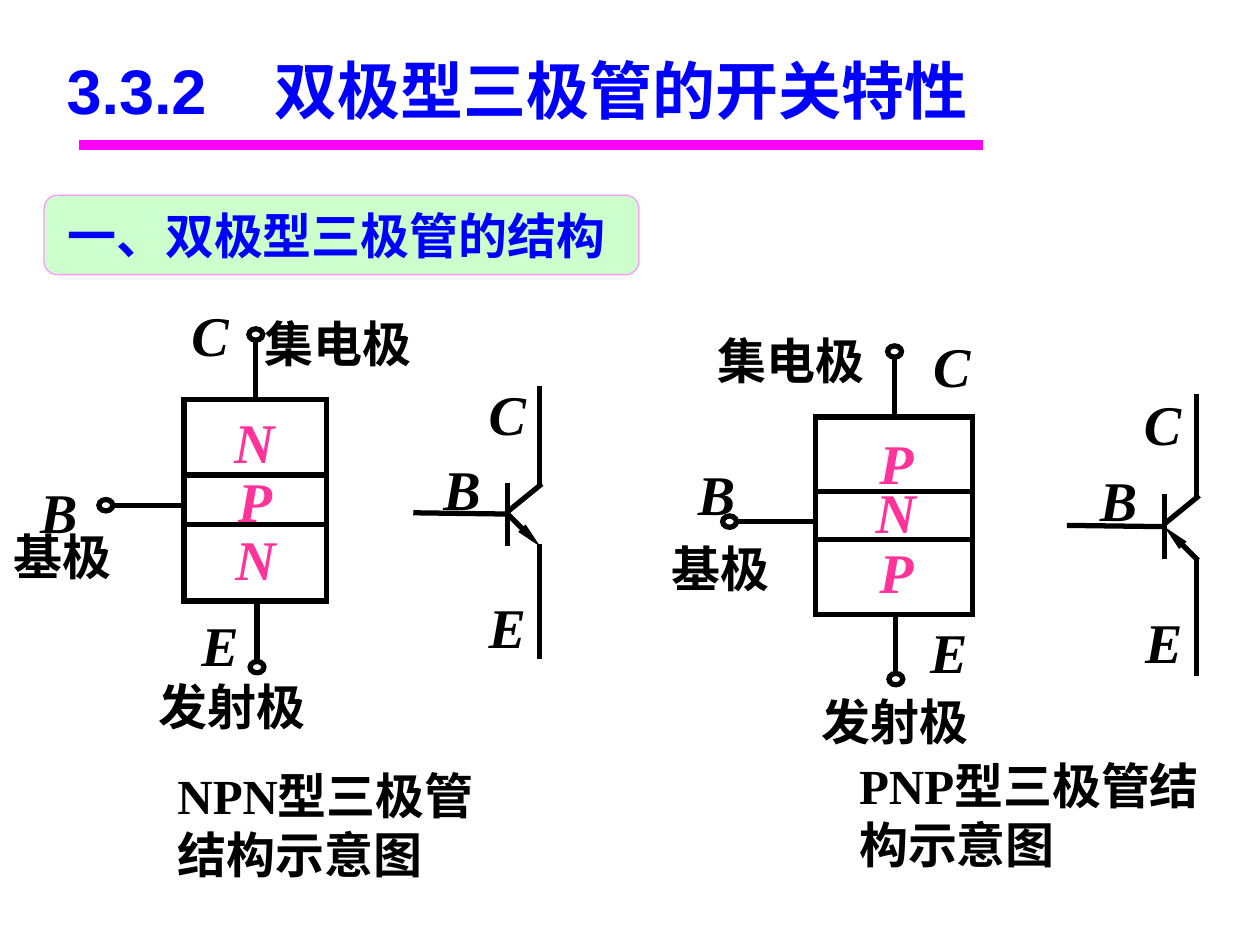
import pptx
import pptx.dml.color
import pptx.enum.shapes
import pptx.enum.text
import pptx.oxml
import pptx.util

SHAPES = pptx.enum.shapes.MSO_SHAPE
ALIGN = pptx.enum.text.PP_ALIGN
ANCHOR = pptx.enum.text.MSO_ANCHOR
colour = pptx.dml.color.RGBColor.from_string
BLACK, BLUE, PINK, SERIF = "000000", "0000FF", "FF3399", "Times New Roman"
XMLNS = 'xmlns:a="http://schemas.openxmlformats.org/drawingml/2006/main"'

deck = pptx.Presentation()
deck.slide_width = pptx.util.Inches(10)
deck.slide_height = pptx.util.Inches(7.5)
slide = deck.slides.add_slide(deck.slide_layouts[6])

# The slide is a grid of 100 columns by 75 rows.
COL = deck.slide_width / 100
ROW = deck.slide_height / 75


def wire(x1, y1, x2, y2, ink=BLACK, weight=3, arrow=False):
    """Draw a straight line between two grid points, with an arrow at its end if asked."""
    line = slide.shapes.add_connector(
        pptx.enum.shapes.MSO_CONNECTOR.STRAIGHT,
        round(x1 * COL), round(y1 * ROW), round(x2 * COL), round(y2 * ROW))
    line.line.color.rgb = colour(ink)
    line.line.width = pptx.util.Pt(weight)
    if arrow:
        line.line._get_or_add_ln().append(pptx.oxml.parse_xml(
            f'<a:tailEnd {XMLNS} type="triangle" w="sm" len="lg"/>'))
    line._element.spPr.append(pptx.oxml.parse_xml(f'<a:effectLst {XMLNS}/>'))


def write(shape, runs, size, ink, align=ALIGN.CENTER, anchor=ANCHOR.MIDDLE, wrap=False, italic=False):
    """Fill a shape with one bold paragraph made of (text, font name) runs."""
    frame = shape.text_frame
    frame.word_wrap = wrap
    frame.vertical_anchor = anchor
    paragraph = frame.paragraphs[0]
    paragraph.alignment = align
    for text, face in runs:
        run = paragraph.add_run()
        run.text = text
        run.font.name = face
        run.font.size = pptx.util.Pt(size)
        run.font.bold = True
        run.font.italic = italic
        run.font.color.rgb = colour(ink)
    return paragraph


# Title with its underline
title = slide.shapes.add_textbox(round(4.3 * COL), round(4.3 * ROW), round(93.7 * COL), round(6.4 * ROW))
title_line = write(title, [("3.3.2\t双极型三极管的开关特性", "Arial")], 36, BLUE, ALIGN.LEFT, wrap=True)
title_line.line_spacing = 0.9
title_line._p.get_or_add_pPr().append(pptx.oxml.parse_xml(
    f'<a:tabLst {XMLNS}><a:tab pos="{round(16.5 * COL)}" algn="l"/></a:tabLst>'))
wire(6.3, 11.5, 78, 11.5, "FF00FF", 6)

# Section heading
heading = slide.shapes.add_shape(
    SHAPES.ROUNDED_RECTANGLE, round(3.5 * COL), round(15.5 * ROW), round(47.2 * COL), round(6.3 * ROW))
heading.shadow.inherit = False
heading.fill.solid()
heading.fill.fore_color.rgb = colour("CCFFCC")
heading.line.color.rgb = colour("FF99FF")
heading.line.width = pptx.util.Pt(0.75)
heading.text_frame.margin_right = pptx.util.Inches(0.18)
write(heading, [("一、双极型三极管的结构", SERIF)], 28, BLUE)

# Per transistor: block edges, terminals (centre, direction and reach of the lead),
# symbol origin and scale, labels (text, left, top, width), caption box and runs
transistors = [
    {
        "block": (14.6, 11.3), "layers": (31.7, 37.7, 41.6, 47.7),
        "terminals": [(20.3, 26.55, 0, 1, 5.15), (8.4, 40.1, 1, 0, 6.2), (20.4, 52.95, 0, -1, 5.25)],
        "symbol": (40.3, 40.8, 1), "emitter_out": True,
        "regions": [("N", 17.6, 31.8, 4), ("P", 17.9, 36.5, 4), ("N", 17.7, 41.1, 4)],
        "letters": [("C", 14.2, 23.3, 4.9), ("B", 2.2, 37.4, 4.9), ("E", 15, 47.9, 4.9),
                    ("C", 37.8, 29.6, 4.9), ("B", 34.2, 35.5, 4.9), ("E", 37.8, 46.5, 4.9)],
        "names": [("集电极", 19.3, 24.4, 15), ("基极", 0, 41.3, 9.9), ("发射极", 10.9, 53.2, 15)],
        "caption": (13.1, 60.3, 25.8), "caption_runs": [("NPN型三极管结构示意图", SERIF)],
    },
    {
        "block": (64.7, 12.5), "layers": (33.1, 39, 42.8, 48.8),
        "terminals": [(71, 27.9, 0, 1, 5.2), (57.9, 41.4, 1, 0, 6.8), (71.1, 53.9, 0, -1, 5.1)],
        "symbol": (92.4, 41.8, 1.03), "emitter_out": False,
        "regions": [("P", 68.8, 33.5, 4.7), ("N", 68.5, 37.4, 5.2), ("P", 68.8, 42.1, 4.7)],
        "letters": [("C", 72.2, 25.8, 6.7), ("B", 54.4, 35.9, 4.7), ("E", 71.3, 48.5, 8),
                    ("C", 89.8, 30.4, 4.9), ("B", 86.3, 36.4, 4.9), ("E", 89.9, 47.7, 4.9)],
        "names": [("集电极", 55.3, 25.7, 15), ("基极", 52.2, 42.2, 10), ("发射极", 63.5, 54.4, 15)],
        "caption": (67.2, 59.5, 29.8),
        "caption_runs": [("PNP型三极管", SERIF), ("结构示意图", "DejaVu Sans")],
    },
]

# Symbol wires around the point where the base meets its bar
base_bar, base_lead = (0, -2.5, 0, 2.5), (-7.5, -0.1, 0.1, 0)
collector, collector_lead = (0, -0.2, 2.7, -2.4), (2.5, -10.2, 2.5, -2.2)
emitter, emitter_lead = (0, 0, 2.6, 2.6), (2.5, 2.4, 2.5, 11.5)
TERMINAL_W, TERMINAL_H = 1.1, 0.9

for part in transistors:
    left, width = part["block"]
    outlines = [(SHAPES.RECTANGLE, left, top, width, bottom - top)
                for top, bottom in zip(part["layers"], part["layers"][1:])]
    for x, y, dx, dy, reach in part["terminals"]:
        outlines.append((SHAPES.OVAL, x - TERMINAL_W / 2, y - TERMINAL_H / 2, TERMINAL_W, TERMINAL_H))
        wire(x + dx * TERMINAL_W / 2, y + dy * TERMINAL_H / 2, x + dx * reach, y + dy * reach)
    for kind, x, y, w, h in outlines:
        outline = slide.shapes.add_shape(kind, round(x * COL), round(y * ROW), round(w * COL), round(h * ROW))
        outline.shadow.inherit = False
        outline.fill.background()
        outline.line.color.rgb = colour(BLACK)
        outline.line.width = pptx.util.Pt(3)
        outline.line._get_or_add_ln().append(pptx.oxml.parse_xml(f'<a:miter {XMLNS} lim="800000"/>'))

    x, y, scale = part["symbol"]
    emitter_path = emitter if part["emitter_out"] else emitter[2:] + emitter[:2]
    for path in (base_bar, base_lead, collector, collector_lead, emitter_path, emitter_lead):
        x1, y1, x2, y2 = (scale * step for step in path)
        wire(x + x1, y + y1, x + x2, y + y2, arrow=path is emitter_path)

    for group, size, height, ink, italic in (("regions", 32, 6.4, PINK, True),
                                             ("letters", 32, 6.4, BLACK, True),
                                             ("names", 28, 5.7, BLACK, False)):
        for text, x, y, w in part[group]:
            label = slide.shapes.add_textbox(round(x * COL), round(y * ROW), round(w * COL), round(height * ROW))
            write(label, [(text, SERIF)], size, ink, italic=italic)

    x, y, w = part["caption"]
    caption = slide.shapes.add_textbox(round(x * COL), round(y * ROW), round(w * COL), round(10.4 * ROW))
    write(caption, part["caption_runs"], 28, BLACK, ALIGN.LEFT, ANCHOR.TOP, wrap=True)

deck.save("out.pptx")
